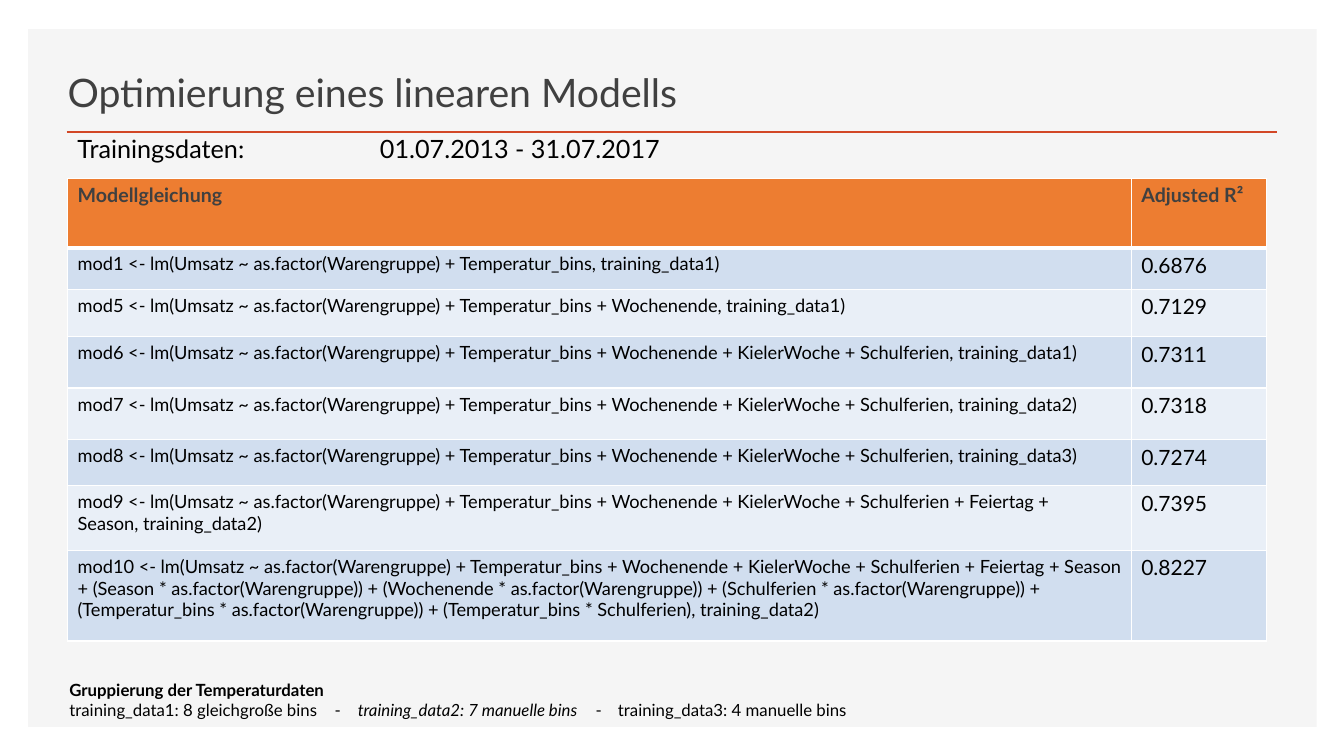
from lxml import etree
from pptx import Presentation
from pptx.dml.color import RGBColor
from pptx.enum import shapes, text
from pptx.oxml import ns
from pptx.util import Inches, Pt

FONT = "Lato"
BLACK, WHITE, GREY = "000000", "FFFFFF", "404040"
PANEL, RULE, HEADER = "F5F5F5", "D24726", "ED7D31"
BANDS = ["D1DEEF", "E9EFF7"]

COLUMN_WIDTHS = [10.55, 1.34]
ROW_HEIGHTS = [0.69, 0.41, 0.47, 0.51, 0.51, 0.46, 0.64, 0.9]

BASE = "lm(Umsatz ~ as.factor(Warengruppe) + Temperatur_bins"
HOLIDAYS = BASE + " + Wochenende + KielerWoche + Schulferien"
MODELS = [
    ("Modellgleichung", "Adjusted R²"),
    (f"mod1 <- {BASE}, training_data1)", "0.6876"),
    (f"mod5 <- {BASE} + Wochenende, training_data1)", "0.7129"),
    (f"mod6 <- {HOLIDAYS}, training_data1)", "0.7311"),
    (f"mod7 <- {HOLIDAYS}, training_data2)", "0.7318"),
    (f"mod8 <- {HOLIDAYS}, training_data3)", "0.7274"),
    (f"mod9 <- {HOLIDAYS} + Feiertag +\vSeason, training_data2)", "0.7395"),
    (f"mod10 <- {HOLIDAYS} + Feiertag + Season"
     " + (Season * as.factor(Warengruppe)) + (Wochenende * as.factor(Warengruppe))"
     " + (Schulferien * as.factor(Warengruppe))"
     " + (Temperatur_bins * as.factor(Warengruppe))"
     " + (Temperatur_bins * Schulferien), training_data2)", "0.8227"),
]


def rgb(value):
    return RGBColor.from_string(value)


def format_runs(paragraph, size, color=BLACK, bold=False):
    for run in paragraph.runs:
        run.font.name = FONT
        run.font.size = Pt(size)
        run.font.bold = bold
        run.font.color.rgb = rgb(color)


def set_tabs(paragraph, stops):
    tab_list = etree.SubElement(paragraph._p.get_or_add_pPr(), ns.qn("a:tabLst"))
    for stop in stops:
        etree.SubElement(tab_list, ns.qn("a:tab"), pos=str(Inches(stop)), algn="l")


def set_border(cell, side, width):
    line = etree.SubElement(cell._tc.get_or_add_tcPr(), ns.qn(f"a:ln{side}"),
                            w=str(Pt(width)))
    fill = etree.SubElement(line, ns.qn("a:solidFill"))
    etree.SubElement(fill, ns.qn("a:srgbClr"), val=WHITE)


def add_text_box(slide, left, top, width, height):
    box = slide.shapes.add_textbox(Inches(left), Inches(top), Inches(width), Inches(height))
    box.text_frame.word_wrap = True
    return box.text_frame


def add_backdrop(slide, left, top, width, height):
    # Grey panel, behind everything else
    panel = slide.shapes.add_shape(shapes.MSO_SHAPE.RECTANGLE, Inches(left), Inches(top),
                                   Inches(width), Inches(height))
    panel.shadow.inherit = False
    panel.fill.solid()
    panel.fill.fore_color.rgb = rgb(PANEL)
    panel.line.fill.background()
    slide.shapes._spTree.insert(2, panel._element)

    # Rule under the title
    rule_y = Inches(top + 1.02)
    rule = slide.shapes.add_connector(shapes.MSO_CONNECTOR.STRAIGHT, Inches(left + 0.38),
                                      rule_y, Inches(left + width - 0.39), rule_y)
    rule.line.color.rgb = rgb(RULE)
    rule.line.width = Pt(2)
    etree.SubElement(rule._element.spPr, ns.qn("a:effectLst"))


def add_title(slide, left, top, width, height):
    title = slide.shapes.title
    title.left, title.top = Inches(left), Inches(top)
    title.width, title.height = Inches(width), Inches(height)
    frame = title.text_frame
    frame.text = "Optimierung eines linearen Modells"
    frame.auto_size = text.MSO_AUTO_SIZE.NONE
    frame.vertical_anchor = text.MSO_ANCHOR.BOTTOM
    heading = frame.paragraphs[0]
    heading.alignment = text.PP_ALIGN.LEFT
    heading.space_after = Pt(6)
    format_runs(heading, 28, GREY)


def add_training_period(slide, left, top, width, height):
    period = add_text_box(slide, left, top, width, height).paragraphs[0]
    period.text = "Trainingsdaten:\t01.07.2013 - 31.07.2017"
    set_tabs(period, [3])
    format_runs(period, 18)


def add_model_table(slide, left, top, width, height):
    models = slide.shapes.add_table(len(MODELS), len(COLUMN_WIDTHS), Inches(left),
                                    Inches(top), Inches(width), Inches(height)).table
    for column, column_width in zip(models.columns, COLUMN_WIDTHS):
        column.width = Inches(column_width)
    for i, (row, row_height) in enumerate(zip(models.rows, ROW_HEIGHTS)):
        row.height = Inches(row_height)
        for j, cell in enumerate(row.cells):
            for side in "LRTB":
                at_header_edge = (i, side) in [(0, "B"), (1, "T")]
                set_border(cell, side, 3 if at_header_edge else 0.96)
            cell.fill.solid()
            cell.fill.fore_color.rgb = rgb(BANDS[(i - 1) % 2] if i else HEADER)
            entry = cell.text_frame.paragraphs[0]
            entry.text = MODELS[i][j]
            if i == 0:
                format_runs(entry, 14, GREY, bold=True)
            else:
                format_runs(entry, [13, 15][j])


def add_binning_note(slide, left, top, width, height):
    frame = add_text_box(slide, left, top, width, height)
    heading = frame.paragraphs[0]
    heading.text = "Gruppierung der Temperaturdaten"
    format_runs(heading, 12, bold=True)

    binnings = frame.add_paragraph()
    set_tabs(binnings, [2.63, 2.86, 5.22, 5.44])
    for part in ["training_data1: 8 gleichgroße bins\t-\t",
                 "training_data2: 7 manuelle bins",
                 "\t-\ttraining_data3: 4 manuelle bins"]:
        binnings.add_run().text = part
    format_runs(binnings, 12)
    binnings.runs[1].font.italic = True


def main():
    prs = Presentation()
    prs.slide_width, prs.slide_height = Inches(13.33), Inches(7.5)
    slide = prs.slides.add_slide(prs.slide_layouts.get_by_name("Title Only"))
    add_backdrop(slide, 0.28, 0.29, 12.78, 6.92)
    add_title(slide, 0.57, 0.49, 8.95, 0.7)
    add_model_table(slide, 0.67, 1.77, sum(COLUMN_WIDTHS), sum(ROW_HEIGHTS))
    add_training_period(slide, 0.67, 1.27, 7.83, 0.4)
    add_binning_note(slide, 0.59, 6.69, 11.81, 0.54)
    prs.save("out.pptx")


if __name__ == "__main__":
    main()
